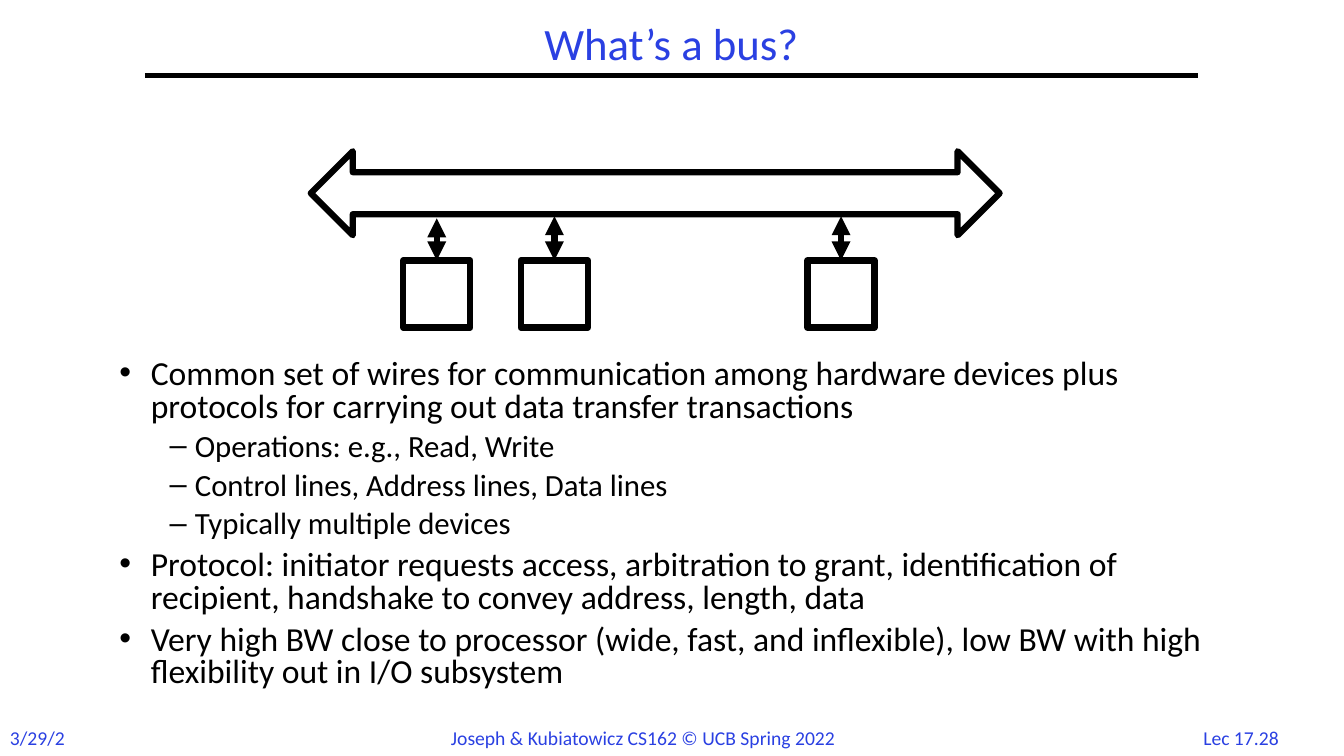
from dataclasses import dataclass

from lxml.etree import SubElement
from pptx import Presentation
from pptx.dml.color import RGBColor
from pptx.enum.shapes import MSO_CONNECTOR as Connector, MSO_SHAPE as Shape
from pptx.enum.text import MSO_ANCHOR as Anchor, MSO_AUTO_SIZE as AutoSize, PP_ALIGN as Align
from pptx.oxml.ns import qn
from pptx.util import Pt

PX = 9525  # EMU per px, 96 px to the inch


@dataclass(frozen=True)
class Theme:
    font: str = "Calibri"
    blue: RGBColor = RGBColor(0x2A, 0x40, 0xE2)
    black: RGBColor = RGBColor(0, 0, 0)
    white: RGBColor = RGBColor(255, 255, 255)
    title_size: int = 32
    level_sizes: tuple = (24, 22)
    footer_size: int = 14
    rule_width: float = 3
    diagram_width: float = 4.5


THEME = Theme()

# Per level: bullet, left margin and hanging indent in px
BULLETS = (("•", 30, 30), ("–", 72, 24))

POINTS = (
    (0, "Common set of wires for communication among hardware devices plus "
        "protocols for carrying out data transfer transactions"),
    (1, "Operations: e.g., Read, Write"),
    (1, "Control lines, Address lines, Data lines"),
    (1, "Typically multiple devices"),
    (0, "Protocol: initiator requests access, arbitration to grant, "
        "identification of recipient, handshake to convey address, length, data"),
    (0, "Very high BW close to processor (wide, fast, and inflexible), "
        "low BW with high flexibility out in I/O subsystem"),
)


def emu(*lengths):
    return [length * PX for length in lengths]


def add_run(paragraph, text, size, color):
    run = paragraph.add_run()
    run.text = text
    run.font.name = THEME.font
    run.font.size = Pt(size)
    run.font.color.rgb = color


def place(placeholder, box):
    placeholder.left, placeholder.top, placeholder.width, placeholder.height = emu(*box)
    placeholder.text_frame.auto_size = AutoSize.NONE
    placeholder.text_frame.word_wrap = True


def add_line(slide, start, end, width, arrows=False):
    line = slide.shapes.add_connector(Connector.STRAIGHT, *emu(*start, *end))
    line.line.color.rgb = THEME.black
    line.line.width = Pt(width)
    properties = line.line._get_or_add_ln()
    if arrows:
        for side in ("a:headEnd", "a:tailEnd"):
            SubElement(properties, qn(side), type="triangle")
    SubElement(properties.getparent(), qn("a:effectLst"))
    return line


def add_outline(slide, kind, box):
    outline = slide.shapes.add_shape(kind, *emu(*box))
    outline.shadow.inherit = False
    outline.fill.solid()
    outline.fill.fore_color.rgb = THEME.white
    outline.line.color.rgb = THEME.black
    outline.line.width = Pt(THEME.diagram_width)
    return outline


def add_heading(slide, box):
    left, top, width, height = box
    title = slide.shapes.title
    place(title, box)
    title.text_frame.vertical_anchor = Anchor.MIDDLE
    paragraph = title.text_frame.paragraphs[0]
    paragraph.alignment = Align.CENTER
    paragraph.line_spacing = 0.9
    add_run(paragraph, "What’s a bus?", THEME.title_size, THEME.blue)
    # Rule under the title
    add_line(slide, (left, top + height), (left + width, top + height), THEME.rule_width)


def add_bus_diagram(slide, box):
    left, top, width, height = box
    bus_height, device_side = 80, 64
    add_outline(slide, Shape.LEFT_RIGHT_ARROW, (left, top, width, bus_height))
    # Devices, each linked to the shaft of the bus
    device_top = top + height - device_side
    for offset, link_top in ((88, 64), (200, 62), (473, 62)):
        device_left = left + offset
        device = add_outline(slide, Shape.RECTANGLE,
                             (device_left, device_top, device_side, device_side))
        middle = device_left + device_side // 2
        link = add_line(slide, (middle, device_top), (middle, top + link_top),
                        THEME.diagram_width, arrows=True)
        link.begin_connect(device, 0)


def add_points(slide, box):
    body = slide.placeholders[1]
    place(body, box)
    frame = body.text_frame
    for index, (level, text) in enumerate(POINTS):
        paragraph = frame.add_paragraph() if index else frame.paragraphs[0]
        bullet, margin, hanging = BULLETS[level]
        size = THEME.level_sizes[level]
        paragraph.level = level
        paragraph.line_spacing = 0.8
        paragraph.space_before = Pt(0.3 * size if index else 0)
        properties = paragraph._p.get_or_add_pPr()
        properties.set("marL", str(margin * PX))
        properties.set("indent", str(-hanging * PX))
        SubElement(properties, qn("a:buChar"), char=bullet)
        add_run(paragraph, text, size, THEME.black)


def add_footer(slide, box):
    left, top, width, height = box
    entries = (
        ("3/29/22", 0, 77, Align.LEFT),
        ("Joseph & Kubiatowicz CS162 © UCB Spring 2022", 420, 406, Align.LEFT),
        ("Lec 17.28", 1130, 104, Align.CENTER),
    )
    for text, offset, entry_width, alignment in entries:
        entry = slide.shapes.add_textbox(*emu(left + offset, top, entry_width, height))
        entry.text_frame.word_wrap = False
        paragraph = entry.text_frame.paragraphs[0]
        paragraph.alignment = alignment
        add_run(paragraph, text, THEME.footer_size, THEME.blue)


def main():
    deck = Presentation()
    deck.slide_width, deck.slide_height = emu(1280, 720)
    slide = deck.slides.add_slide(deck.slide_layouts[1])
    add_footer(slide, (0, 687, 1280, 33))
    add_heading(slide, (138, 16, 1003, 56))
    add_points(slide, (104, 338, 1096, 336))
    add_bus_diagram(slide, (296, 144, 656, 168))
    deck.save("out.pptx")


if __name__ == "__main__":
    main()
